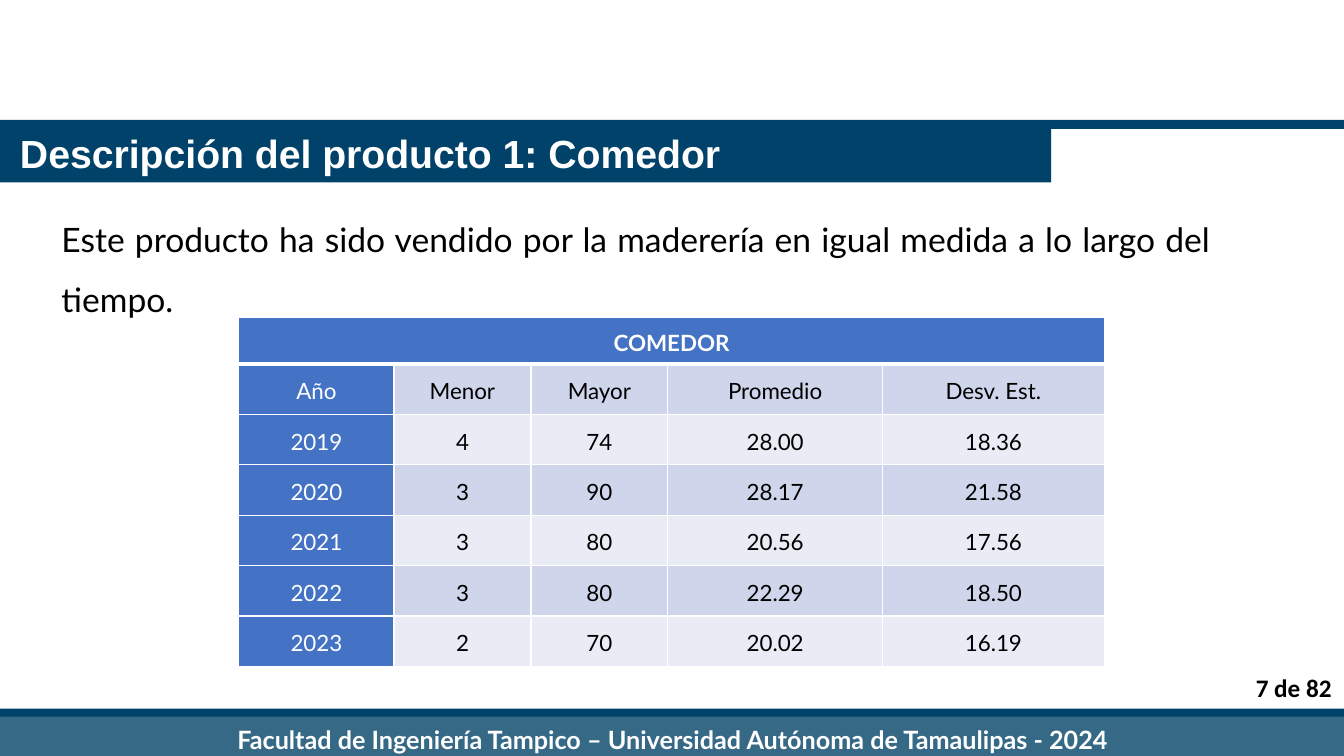
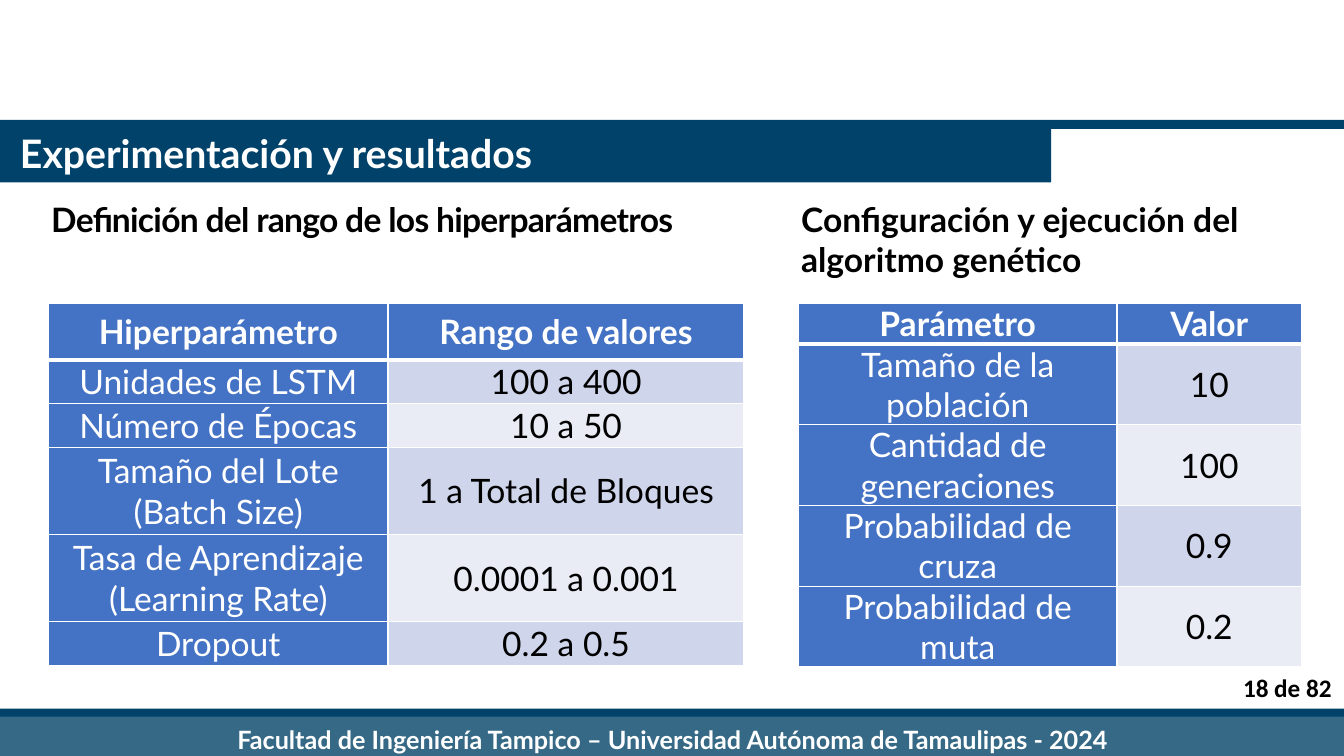
from dataclasses import dataclass

from lxml.etree import SubElement
from pptx import Presentation
from pptx.dml.color import RGBColor
from pptx.enum.shapes import MSO_SHAPE
from pptx.enum.text import MSO_ANCHOR, MSO_AUTO_SIZE, PP_ALIGN
from pptx.oxml.ns import qn
from pptx.slide import Slide, SlideLayout
from pptx.util import Cm, Pt


@dataclass(frozen=True)
class Theme:
    navy: str = "00426A"
    steel: str = "366986"
    head: str = "4472C4"
    bands: tuple[str, str] = ("E9EBF5", "CFD5EA")
    white: str = "FFFFFF"
    black: str = "000000"
    font: str = "Lato"
    title: int = 28
    body: int = 24
    foot: int = 18
    small: int = 16
    thin: int = 1
    thick: int = 3


@dataclass(frozen=True)
class Box:
    """A place on the slide, in centimetres."""
    left: float
    top: float
    width: float
    height: float

    def place(self) -> tuple[Cm, Cm, Cm, Cm]:
        return Cm(self.left), Cm(self.top), Cm(self.width), Cm(self.height)


@dataclass(frozen=True)
class Style:
    size: int
    color: str
    bold: bool = False
    font: str = "Lato"
    align: PP_ALIGN = PP_ALIGN.LEFT
    lines: float = 1.0
    track: float = 0


@dataclass(frozen=True)
class Band:
    box: Box
    fill: str
    kind: MSO_SHAPE = MSO_SHAPE.RECTANGLE
    text: str = ""


@dataclass(frozen=True)
class Note:
    box: Box
    text: str
    style: Style


@dataclass(frozen=True)
class Grid:
    left: float
    top: float
    cols: list[float]
    rows: list[float]
    cells: list[list[str]]
    size: int
    lines: float = 1.0


@dataclass(frozen=True)
class Page:
    title: str
    number: int
    notes: list[Note]
    grids: list[Grid]
    font: str = "Lato"


THEME = Theme()
TOTAL = 82
TITLE = Box(0.25, 3.35, 25.96, 1.02)
NUMBER = Box(30.1, 16.81, 3.71, 1.02)
RULE = MSO_SHAPE.FLOWCHART_ALTERNATE_PROCESS
BANDS = [
    Band(Box(-0.05, 17.86, 33.96, 0.23), THEME.navy, RULE),
    Band(Box(-0.03, 3.02, 33.96, 0.23), THEME.navy, RULE),
    Band(Box(-0.03, 18.06, 33.96, 1.17), THEME.steel,
         text="Facultad de Ingeniería Tampico – Universidad Autónoma de Tamaulipas - 2024"),
    Band(Box(0, 3.23, 26.49, 1.37), THEME.navy),
]

PAGES = [
    Page(
        "Descripción del producto 1: Comedor", 7,
        [Note(Box(1.3, 4.88, 29.44, 3.15),
              "Este producto ha sido vendido por la maderería en igual medida "
              "a lo largo del tiempo.",
              Style(THEME.body, THEME.black, align=PP_ALIGN.JUSTIFY, lines=1.5))],
        [Grid(6.02, 8, [3.91, 3.45, 3.45, 5.41, 5.59], [1.17] + [1.27] * 6, [
            ["COMEDOR"],
            ["Año", "Menor", "Mayor", "Promedio", "Desv. Est."],
            ["2019", "4", "74", "28.00", "18.36"],
            ["2020", "3", "90", "28.17", "21.58"],
            ["2021", "3", "80", "20.56", "17.56"],
            ["2022", "3", "80", "22.29", "18.50"],
            ["2023", "2", "70", "20.02", "16.19"],
        ], THEME.small, 1.15)],
        font="Arial",
    ),
    Page(
        "Experimentación y resultados", 18,
        [Note(Box(1.04, 4.88, 17.7, 1.27), "Definición del rango de los hiperparámetros",
              Style(THEME.body, THEME.black, True, align=PP_ALIGN.JUSTIFY, track=-0.5)),
         Note(Box(19.94, 4.88, 12.7, 2.31), "Configuración y ejecución del algoritmo genético",
              Style(THEME.body, THEME.black, True))],
        [Grid(1.22, 7.65, [8.56, 8.97], [1.42, 1.1, 1.1, 2.2, 2.2, 1.1], [
            ["Hiperparámetro", "Rango de valores"],
            ["Unidades de LSTM", "100 a 400"],
            ["Número de Épocas", "10 a 50"],
            ["Tamaño del Lote (Batch Size)", "1 a Total de Bloques"],
            ["Tasa de Aprendizaje (Learning Rate)", "0.0001 a 0.001"],
            ["Dropout", "0.2 a 0.5"],
        ], THEME.body),
         Grid(20.12, 7.65, [8.03, 4.65], [1.02] + [2.03] * 4, [
             ["Parámetro", "Valor"],
             ["Tamaño de la población", "10"],
             ["Cantidad de generaciones", "100"],
             ["Probabilidad de cruza", "0.9"],
             ["Probabilidad de muta", "0.2"],
         ], THEME.body)],
    ),
]


def rgb(color: str) -> RGBColor:
    return RGBColor.from_string(color)


def write(frame, text: str, style: Style) -> None:
    line = frame.paragraphs[0]
    line.alignment = style.align
    line.line_spacing = style.lines
    run = line.add_run()
    run.text = text
    font = run.font
    font.name, font.size, font.bold = style.font, Pt(style.size), style.bold
    font.color.rgb = rgb(style.color)
    if style.track:
        font._element.set("spc", str(int(style.track * 100)))


def add_note(slide: Slide, note: Note) -> None:
    frame = slide.shapes.add_textbox(*note.box.place()).text_frame
    frame.word_wrap = True
    write(frame, note.text, note.style)


# Shared bands and footer, kept on the layout
def add_bands(slide: Slide, layout: SlideLayout) -> None:
    for count, band in enumerate(BANDS):
        shape = slide.shapes.add_shape(band.kind, *band.box.place())
        shape.shadow.inherit = False
        shape.fill.solid()
        shape.fill.fore_color.rgb = rgb(band.fill)
        shape.line.fill.background()
        if band.text:
            shape.text_frame.vertical_anchor = MSO_ANCHOR.MIDDLE
            write(shape.text_frame, band.text,
                  Style(THEME.foot, THEME.white, True, align=PP_ALIGN.CENTER))
        shape.element.nvSpPr.cNvPr.set("id", str(100 + count))
        layout.shapes.element.append(shape.element)


# Title and page number
def add_title(slide: Slide, page: Page) -> None:
    title = slide.shapes.title
    title.left, title.top, title.width, title.height = TITLE.place()
    frame = title.text_frame
    frame.word_wrap = True
    frame.auto_size = MSO_AUTO_SIZE.NONE
    frame.vertical_anchor = MSO_ANCHOR.MIDDLE
    write(frame, page.title, Style(THEME.title, THEME.white, True, page.font))
    add_note(slide, Note(NUMBER, f"{page.number} de {TOTAL}",
                         Style(THEME.foot, THEME.black, True, "Calibri", PP_ALIGN.RIGHT)))


# Tables
def add_edges(cell, row: int) -> None:
    props = cell._tc.get_or_add_tcPr()
    heavy = {0: "lnB", 1: "lnT"}.get(row)
    for side in ("lnL", "lnR", "lnT", "lnB"):
        width = THEME.thick if side == heavy else THEME.thin
        edge = SubElement(props, qn(f"a:{side}"), w=str(Pt(width)))
        fill = SubElement(edge, qn("a:solidFill"))
        SubElement(fill, qn("a:srgbClr"), val=THEME.white)


def add_grid(slide: Slide, grid: Grid) -> None:
    box = Box(grid.left, grid.top, sum(grid.cols), sum(grid.rows))
    table = slide.shapes.add_table(len(grid.rows), len(grid.cols), *box.place()).table
    table.horz_banding = False
    for col, width in zip(table.columns, grid.cols):
        col.width = Cm(width)
    for row, height in zip(table.rows, grid.rows):
        row.height = Cm(height)
    for i, texts in enumerate(grid.cells):
        for j in range(len(grid.cols)):
            cell = table.cell(i, j)
            head = i == 0 or j == 0
            add_edges(cell, i)
            cell.fill.solid()
            cell.fill.fore_color.rgb = rgb(THEME.head if head else THEME.bands[i % 2])
            cell.vertical_anchor = MSO_ANCHOR.MIDDLE
            cell.margin_left = cell.margin_right = Cm(0.18)
            cell.margin_top = cell.margin_bottom = 0
            if j < len(texts):
                write(cell.text_frame, texts[j],
                      Style(grid.size, THEME.white if head else THEME.black, i == 0,
                            align=PP_ALIGN.CENTER, lines=grid.lines))
        if len(texts) == 1:
            table.cell(i, 0).merge(table.cell(i, len(grid.cols) - 1))


def main() -> None:
    deck = Presentation()
    deck.slide_width, deck.slide_height = Cm(33.87), Cm(19.05)
    layout = deck.slide_layouts[5]
    for page in PAGES:
        slide = deck.slides.add_slide(layout)
        if page is PAGES[0]:
            add_bands(slide, layout)
        add_title(slide, page)
        for grid in page.grids:
            add_grid(slide, grid)
        for note in page.notes:
            add_note(slide, note)
    deck.save("out.pptx")


if __name__ == "__main__":
    main()
